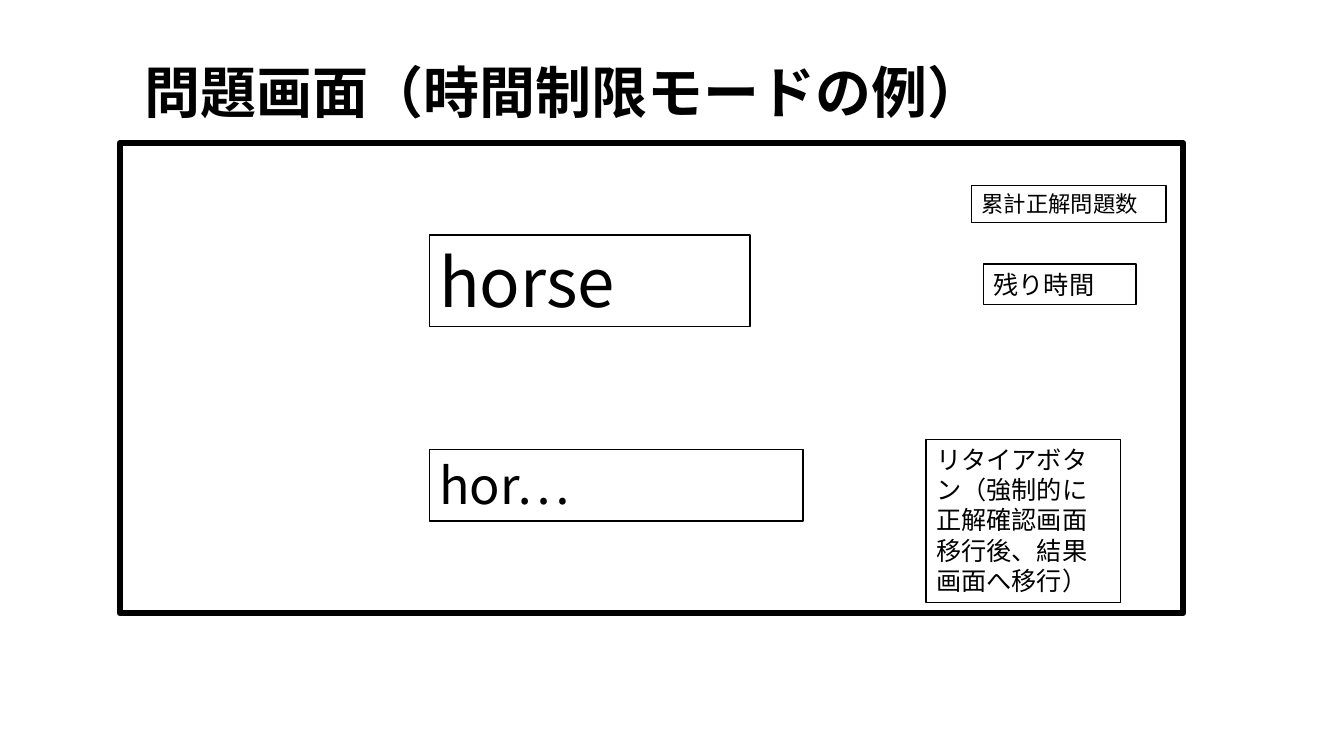
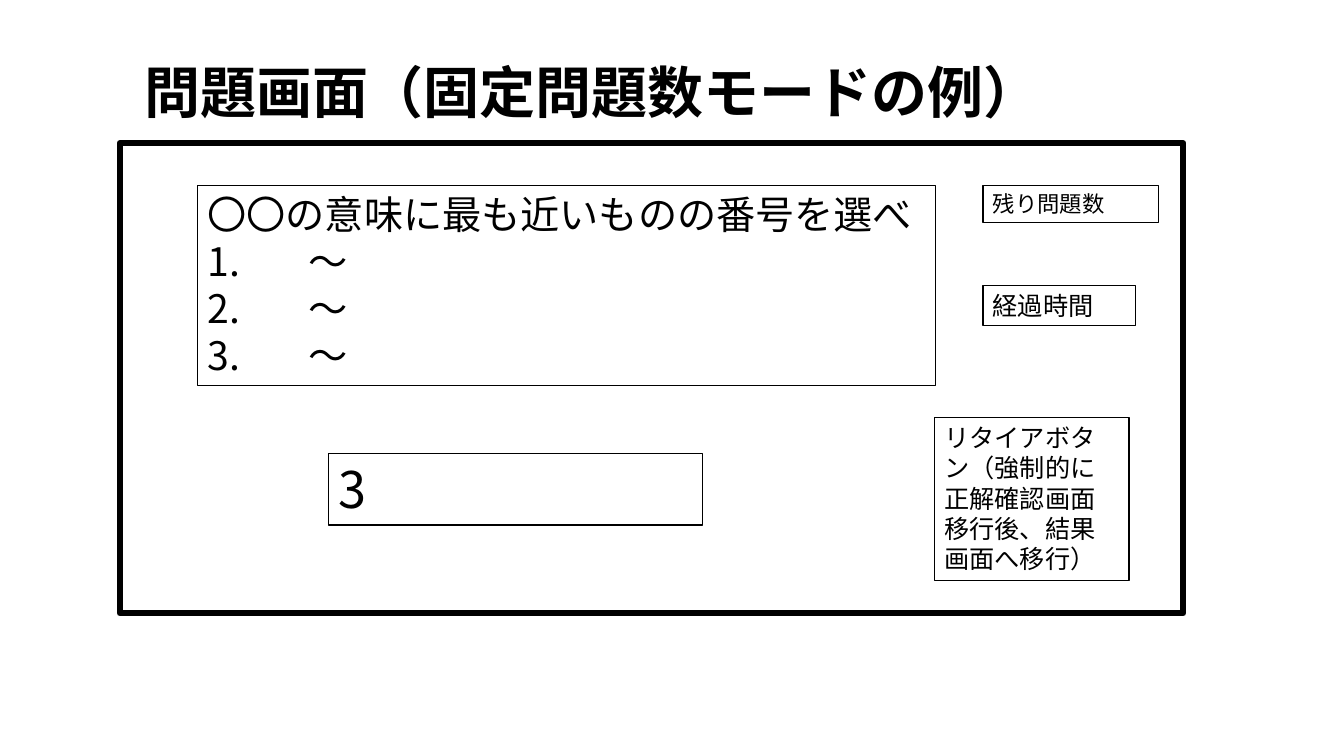
from dataclasses import dataclass

from lxml.etree import SubElement
from pptx import Presentation
from pptx.dml.color import RGBColor
from pptx.enum.shapes import MSO_SHAPE
from pptx.enum.text import MSO_ANCHOR, MSO_AUTO_SIZE, PP_ALIGN
from pptx.oxml.ns import qn
from pptx.util import Cm, Pt


@dataclass(frozen=True)
class Theme:
    """Colours, font, type sizes and line widths of the deck."""
    ink: RGBColor = RGBColor(0, 0, 0)
    paper: RGBColor = RGBColor(255, 255, 255)
    font: str = "Noto Sans CJK JP"
    title: int = 40
    word: int = 48
    answer: int = 36
    question: int = 28
    label: int = 18
    small: int = 16
    frame_line: float = 4.5
    box_line: float = 1


T = Theme()


def write(sp, lines, size, bold=False):
    """Fill a shape with left-aligned lines; those after the first are numbered."""
    tf = sp.text_frame
    frame_format = {"word_wrap": True, "vertical_anchor": MSO_ANCHOR.TOP,
                    "auto_size": MSO_AUTO_SIZE.SHAPE_TO_FIT_TEXT}
    for name, value in frame_format.items():
        setattr(tf, name, value)
    for i, line in enumerate(lines):
        p = tf.add_paragraph() if i else tf.paragraphs[0]
        p.alignment = PP_ALIGN.LEFT
        r = p.add_run()
        r.text = line
        for name, value in {"name": T.font, "size": Pt(size), "bold": bold}.items():
            setattr(r.font, name, value)
        r.font.color.rgb = T.ink
        SubElement(r.font._element, qn("a:ea"), typeface=T.font)
        if i:
            pPr = p._p.get_or_add_pPr()
            pPr.set("marL", str(Cm(2.54)))
            pPr.set("indent", str(-Cm(2.54)))
            SubElement(pPr, qn("a:buAutoNum"), type="arabicPeriod")


def add_box(s, place, line_width):
    """Add a white rectangle with a black outline; place is in centimetres."""
    sp = s.shapes.add_shape(MSO_SHAPE.RECTANGLE, *map(Cm, place))
    sp.shadow.inherit = False
    sp.fill.solid()
    sp.fill.fore_color.rgb = T.paper
    sp.line.color.rgb = T.ink
    sp.line.width = Pt(line_width)
    return sp


FRAME = (3.02, 3.61, 26.8, 11.84)
ANSWER_SIZE = (9.42, 1.8)
TIME_SIZE = (3.84, 1.02)
RETIRE_SIZE = (4.9, 4.11)
RETIRE = ["リタイアボタン（強制的に正解確認画面移行後、結果画面へ移行）"]

# Each screen: title, title width, then boxes as (place, lines, type size)
screens = [
    ("問題画面（時間制限モードの例）", 22.86, [
        ((10.82, 11.33, *ANSWER_SIZE), ["hor…"], T.answer),
        ((10.82, 5.92, 8.08, 2.31), ["horse"], T.word),
        ((24.49, 4.67, 4.9, 0.94), ["累計正解問題数"], T.small),
        ((24.79, 6.65, *TIME_SIZE), ["残り時間"], T.label),
        ((23.34, 11.07, *RETIRE_SIZE), RETIRE, T.label),
    ]),
    ("問題画面（固定問題数モードの例）", 23.93, [
        ((8.28, 11.43, *ANSWER_SIZE), ["3"], T.answer),
        ((4.98, 4.67, 18.59, 5.05),
         ["〇〇の意味に最も近いものの番号を選べ"] + ["～"] * 3, T.question),
        ((24.77, 7.19, *TIME_SIZE), ["経過時間"], T.label),
        ((24.77, 4.67, 4.42, 0.94), ["残り問題数"], T.small),
        ((23.55, 10.52, *RETIRE_SIZE), RETIRE, T.label),
    ]),
]

prs = Presentation()
prs.slide_width, prs.slide_height = Cm(33.87), Cm(19.05)

for title, title_width, boxes in screens:
    s = prs.slides.add_slide(prs.slide_layouts[5])
    place = {"left": 3.38, "top": 1.32, "width": title_width, "height": 1.96}
    for name, value in place.items():
        setattr(s.shapes.title, name, Cm(value))
    write(s.shapes.title, [title], T.title, bold=True)
    add_box(s, FRAME, T.frame_line)
    for place, lines, size in boxes:
        write(add_box(s, place, T.box_line), lines, size)

prs.save("out.pptx")
